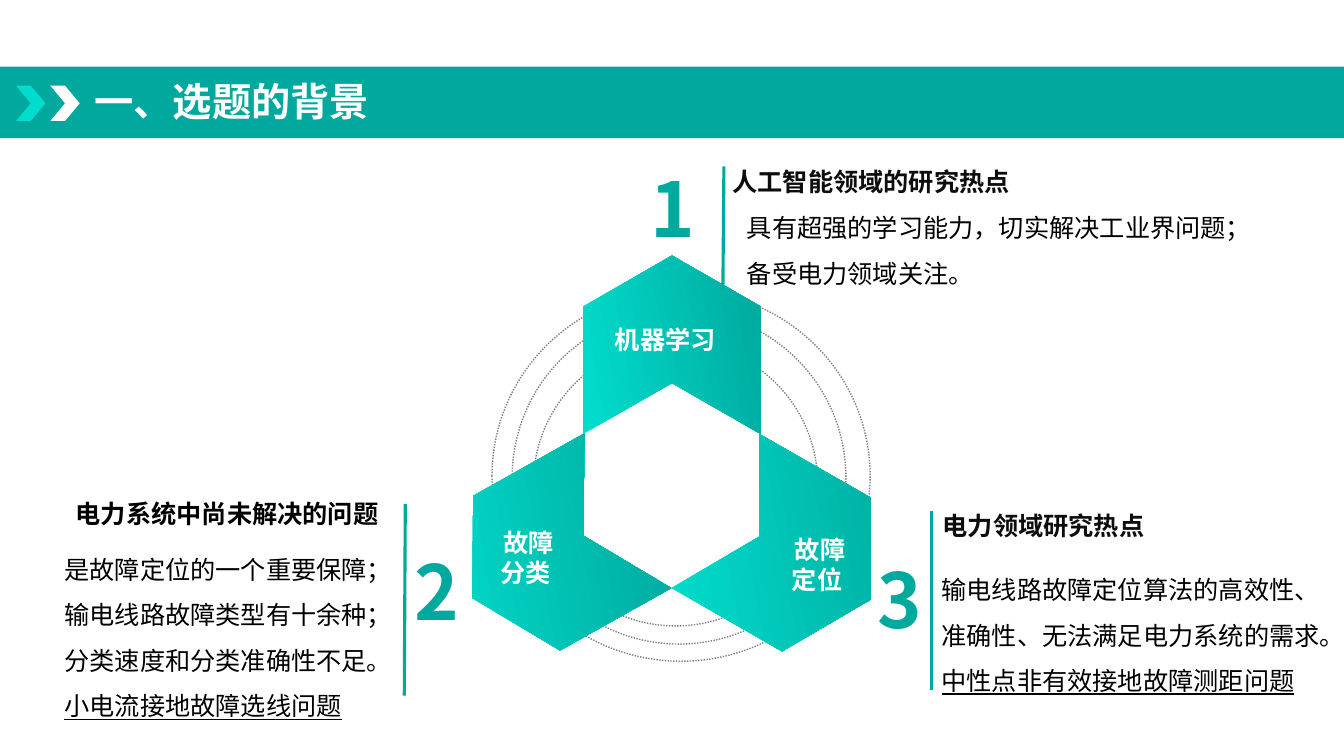
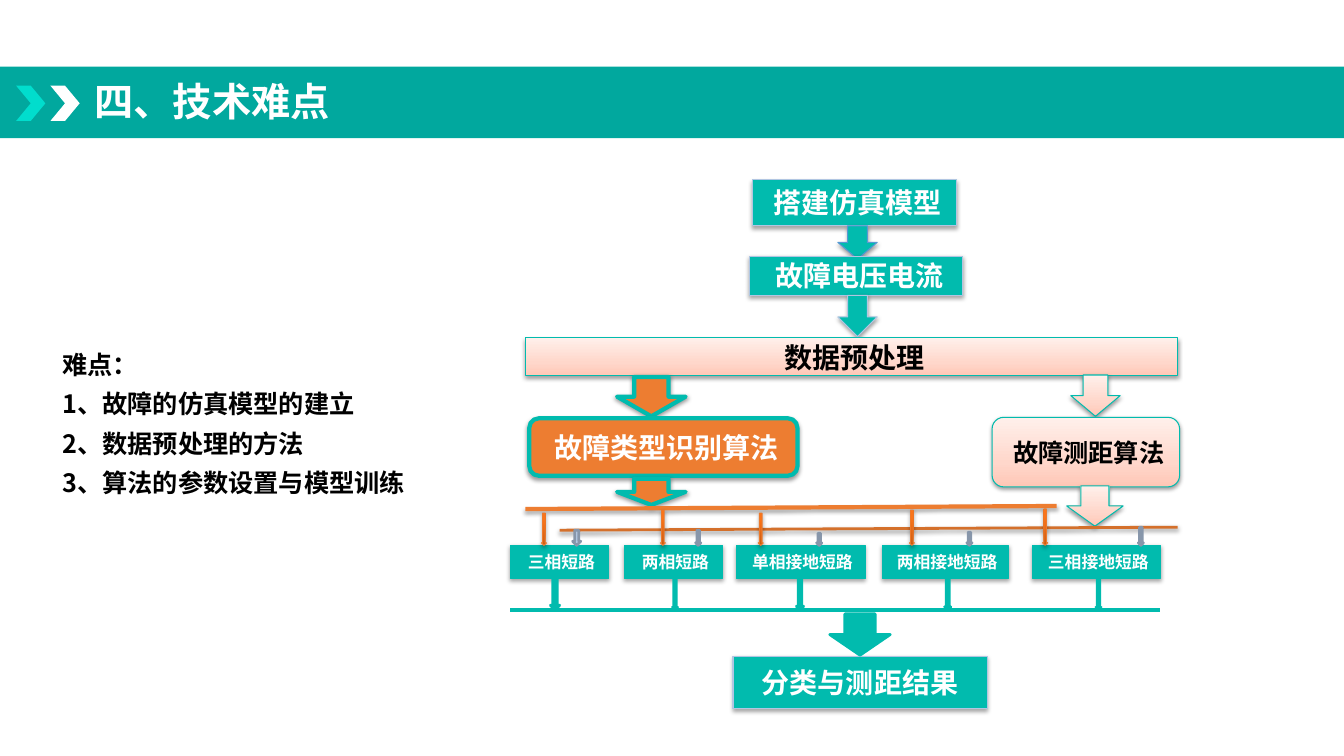
from pptx import Presentation
from pptx.util import Inches, Pt
from pptx.dml.color import RGBColor
from pptx.enum.dml import MSO_LINE
from pptx.enum.shapes import MSO_SHAPE, MSO_CONNECTOR
from pptx.enum.text import MSO_ANCHOR, PP_ALIGN
from pptx.oxml.ns import qn
from lxml.etree import SubElement

FONT = "Noto Sans CJK SC"
WIDE, HIGH = 13.33, 7.5
BAND, MINT, DEEP, TEAL = "01A89E", "01DDCD", "00A99D", "01BBAE"
ORANGE, RUST, WHITE, BLACK, INK = "ED7D31", "D4702B", "FFFFFF", "000000", "0D0D0D"
PALE, BLUE, SLATE, GREY = "B1C6E2", "5698D3", "8796AA", "7F7F7F"
LEAF = (350, (0, MINT), (100, DEEP))
PEACH = (270, (0, "FFC7B6"), (35, "FFD7CB"), (100, "FFF0EB"))
FLAME = (270, (0, "C65910"), (80, "FF7416"), (100, "FF7517"))
SOFT, DARK = (35, 1.8), (38, 1.6)
RECT, ROUND, DOWN = MSO_SHAPE.RECTANGLE, MSO_SHAPE.ROUNDED_RECTANGLE, MSO_SHAPE.DOWN_ARROW
ALIGN = {"l": PP_ALIGN.LEFT, "c": PP_ALIGN.CENTER, "r": PP_ALIGN.RIGHT, "j": PP_ALIGN.JUSTIFY}

RINGS = [(4.88, 2.88, 3.75, 3.68), (5.08, 3.08, 3.31, 3.31), (5.29, 3.39, 2.82, 2.82)]
PETALS = [(4.57, 4.62, 150.7), (5.78, 2.54, 270), (6.98, 4.63, 29.8)]
LABELS = [((5.63, 3.17, 1.94, 0.4), "机器学习"),
          ((4.78, 5.18, 0.87, 0.71), " 故障分类"),
          ((7.63, 5.25, 0.95, 0.71), " 故障定位")]
HEADS = [((7.16, 1.6, 2.96, 0.4), "人工智能领域的研究热点", "c", INK, 1),
         ((0.45, 4.83, 3.4, 0.46), "电力系统中尚未解决的问题", "r", BLACK, 1.2),
         ((9.25, 5.01, 2.2, 0.4), "电力领域研究热点", "c", INK, 1)]
NOTES = [((7.31, 1.91, 5.2, 1.01),
          ["具有超强的学习能力，切实解决工业界问题；", "备受电力领域关注。"], ""),
         ((0.54, 5.3, 3.38, 2.32),
          ["是故障定位的一个重要保障；", "输电线路故障类型有十余种；",
           "分类速度和分类准确性不足。"], "小电流接地故障选线问题"),
         ((9.24, 5.5, 4.06, 1.46),
          ["输电线路故障定位算法的高效性、准确性、无法满足电力系统的需求。"],
          "中性点非有效接地故障测距问题")]
DIGITS = [(6.35, 1.56), (4.01, 5.36), (8.61, 5.44)]
RULES = [(7.18, 1.65, 7.17, 2.87), (4.02, 5, 4.01, 6.9), (9.24, 5.07, 9.24, 6.85)]

HARD = ["难点：", "1、故障的仿真模型的建立", "2、数据预处理的方法", "3、算法的参数设置与模型训练"]
STEPS = [
    (RECT, (7.46, 1.78, 2.03, 0.46), TEAL, PALE, 0.75, SOFT, " 搭建仿真模型", 20, WHITE),
    (DOWN, (8.31, 2.24, 0.39, 0.33), TEAL, BLUE, 0.75, DARK),
    (RECT, (7.43, 2.54, 2.12, 0.39), TEAL, PALE, 0.75, SOFT, " 故障电压电流", 20, WHITE),
    (DOWN, (8.31, 2.93, 0.39, 0.41), TEAL, PALE, 0.75, DARK),
    (RECT, (5.21, 3.35, 6.47, 0.38), PEACH, TEAL, 0.75, DARK, " 数据预处理", 20, BLACK),
    (DOWN, (6.12, 3.74, 0.68, 0.39), ORANGE, TEAL, 3, DARK),
    (ROUND, (5.25, 4.15, 2.66, 0.57), ORANGE, TEAL, 3, DARK, " 故障类型识别算法", 20, WHITE),
    (DOWN, (10.62, 3.72, 0.49, 0.41), PEACH, TEAL, 0.75, DARK),
    (ROUND, (9.84, 4.14, 1.86, 0.69), PEACH, TEAL, 0.75, DARK, " 故障测距算法", 18, BLACK),
    (DOWN, (6.12, 4.75, 0.68, 0.26), ORANGE, TEAL, 3, DARK),
    (DOWN, (10.58, 4.82, 0.56, 0.4), PEACH, TEAL, 0.75, DARK),
    (RECT, (7.27, 6.51, 2.52, 0.52), TEAL, PALE, 0.75, SOFT, "分类与测距结果", 20, WHITE),
    (DOWN, (8.23, 6.09, 0.6, 0.41), TEAL, TEAL, 2, None)]
RAILS = [((5.21, 5.05, 10.48, 5.02), ORANGE, 3, SOFT),
         ((5.55, 5.26, 11.68, 5.23), RUST, 2, DARK),
         ((5.06, 6.05, 11.51, 6.05), TEAL, 3, None)]
ROW, TALL = 5.41, 0.33
CASES = [
    ("三相短路", 5.06, 0.98, (5.37, 5.09), (5.68, 5.26, 0.08), (5.46, 0.09)),
    ("两相短路", 6.19, 0.98, (6.55, 5.06), (6.9, 5.26, 0.05), (6.67, 0.05)),
    ("单相接地短路", 7.3, 1.28, (7.52, 5.09), (8.1, 5.29, 0.05), (7.9, 0.07)),
    ("两相接地短路", 8.75, 1.25, (9.02, 5.06), (9.59, 5.28, 0.05), (9.37, 0.06)),
    ("三相接地短路", 10.24, 1.27, (10.34, 5.05), (11.29, 5.23, 0.05), (10.87, 0.05))]


def tint(code):
    return RGBColor.from_string(code)


def shade(item, cast):
    fx = SubElement(item._element.spPr, qn("a:effectLst"))
    if cast:
        glow = SubElement(fx, qn("a:outerShdw"), blurRad=str(Pt(3.1)), dist=str(Pt(cast[1])),
                          dir="5400000", rotWithShape="0")
        hue = SubElement(glow, qn("a:srgbClr"), val=BLACK)
        SubElement(hue, qn("a:alpha"), val=str(cast[0] * 1000))


def paint(item, fill):
    if fill is None:
        item.fill.background()
    elif isinstance(fill, str):
        item.fill.solid()
        item.fill.fore_color.rgb = tint(fill)
    else:
        item.fill.gradient()
        grad = item._element.spPr.find(qn("a:gradFill"))
        for kid in list(grad):
            grad.remove(kid)
        grad.set("rotWithShape", "0")
        stops = SubElement(grad, qn("a:gsLst"))
        for pos, code in fill[1:]:
            stop = SubElement(stops, qn("a:gs"), pos=str(pos * 1000))
            SubElement(stop, qn("a:srgbClr"), val=code)
        SubElement(grad, qn("a:lin"), ang=str(fill[0] * 60000), scaled="0")


def shape(page, kind, at, fill=None, line=None, width=0.75, cast=None, turn=0, adj=None, dash=None):
    item = page.shapes.add_shape(kind, *map(Inches, at))
    item.rotation = turn
    if adj:
        item.adjustments[0] = adj
    paint(item, fill)
    if line:
        item.line.color.rgb = tint(line)
        item.line.width = Pt(width)
        if dash:
            item.line.dash_style = dash
    else:
        item.line.fill.background()
    shade(item, cast)
    return item


def rule(page, ends, color, width, cast=None):
    item = page.shapes.add_connector(MSO_CONNECTOR.STRAIGHT, *map(Inches, ends))
    item.line.color.rgb = tint(color)
    item.line.width = Pt(width)
    shade(item, cast)


def write(frame, lines, size=18, color=BLACK, bold=False, align="l", gap=1, mid=False,
          wrap=True, last=""):
    frame.word_wrap = wrap
    frame.vertical_anchor = MSO_ANCHOR.MIDDLE if mid else MSO_ANCHOR.TOP
    rows = list(lines) + ([last] if last else [])
    for n, words in enumerate(rows):
        para = frame.add_paragraph() if n else frame.paragraphs[0]
        para.alignment = ALIGN[align]
        para.line_spacing = gap
        run = para.add_run()
        run.text = words
        font = run.font
        font.name, font.size, font.bold = FONT, Pt(size), bold
        font.underline = bool(last) and n == len(rows) - 1
        font.color.rgb = tint(color)
        SubElement(run._r.get_or_add_rPr(), qn("a:ea"), typeface=FONT)


def text(page, at, lines, **look):
    write(page.shapes.add_textbox(*map(Inches, at)).text_frame, lines, **look)


def node(page, kind, at, fill, line, width, cast, words="", size=18, color=WHITE):
    item = shape(page, kind, at, fill, line, width, cast)
    if words:
        frame = item.text_frame
        frame.margin_left = frame.margin_right = 0
        write(frame, [words], size=size, color=color, bold=True, align="c", mid=True)


def start(deck, title):
    page = deck.slides.add_slide(deck.slide_layouts[6])
    shape(page, RECT, (0, 0.66, WIDE, 0.71), BAND)
    for left, color in ((0.16, MINT), (0.5, WHITE)):
        shape(page, MSO_SHAPE.CHEVRON, (left, 0.85, 0.29, 0.35), color, adj=0.5)
    text(page, (0.84, 0.65, 6.39, 0.76), [title], size=28, color=WHITE, bold=True, gap=0.9, mid=True)
    return page


def topic(deck):
    page = start(deck, "一、选题的背景")
    for at in RINGS:
        shape(page, MSO_SHAPE.OVAL, at, line=GREY, width=1, dash=MSO_LINE.ROUND_DOT)
    for left, top, turn in PETALS:
        shape(page, MSO_SHAPE.CHEVRON, (left, top, 1.77, 1.76), LEAF, turn=turn, adj=0.287)
    for at, words in LABELS:
        text(page, at, [words], color=WHITE, bold=True, align="c")
    for at, lines, last in NOTES:
        text(page, at, lines, gap=1.5, last=last)
    for at, words, align, color, gap in HEADS:
        text(page, at, [words], color=color, bold=True, align=align, gap=gap)
    for n, (left, top) in enumerate(DIGITS, 1):
        text(page, (left, top, 0.67, 1.01), [str(n)], size=54, color=DEEP, bold=True, wrap=False)
    for ends in RULES:
        rule(page, ends, DEEP, 2.25)


def flow(deck):
    page = start(deck, "四、技术难点")
    text(page, (0.52, 2.84, 3.93, 2.63), HARD, bold=True, align="j", gap=1.3, mid=True)
    for step in STEPS:
        node(page, *step)
    for rail in RAILS:
        rule(page, *rail)
    for words, left, wide, hot, cool, out in CASES:
        node(page, RECT, (left, ROW, wide, TALL), TEAL, TEAL, 0.75, SOFT, " " + words, 12)
        shape(page, DOWN, (*hot, 0.05, ROW - hot[1]), FLAME, "EC792B", 0.75, SOFT)
        shape(page, DOWN, (*cool, ROW - cool[1]), "B6CBE6", SLATE, 2)
        shape(page, DOWN, (out[0], ROW + TALL, out[1], 0.31), TEAL, TEAL, 2)


deck = Presentation()
deck.slide_width, deck.slide_height = Inches(WIDE), Inches(HIGH)
topic(deck)
flow(deck)
deck.save("out.pptx")
